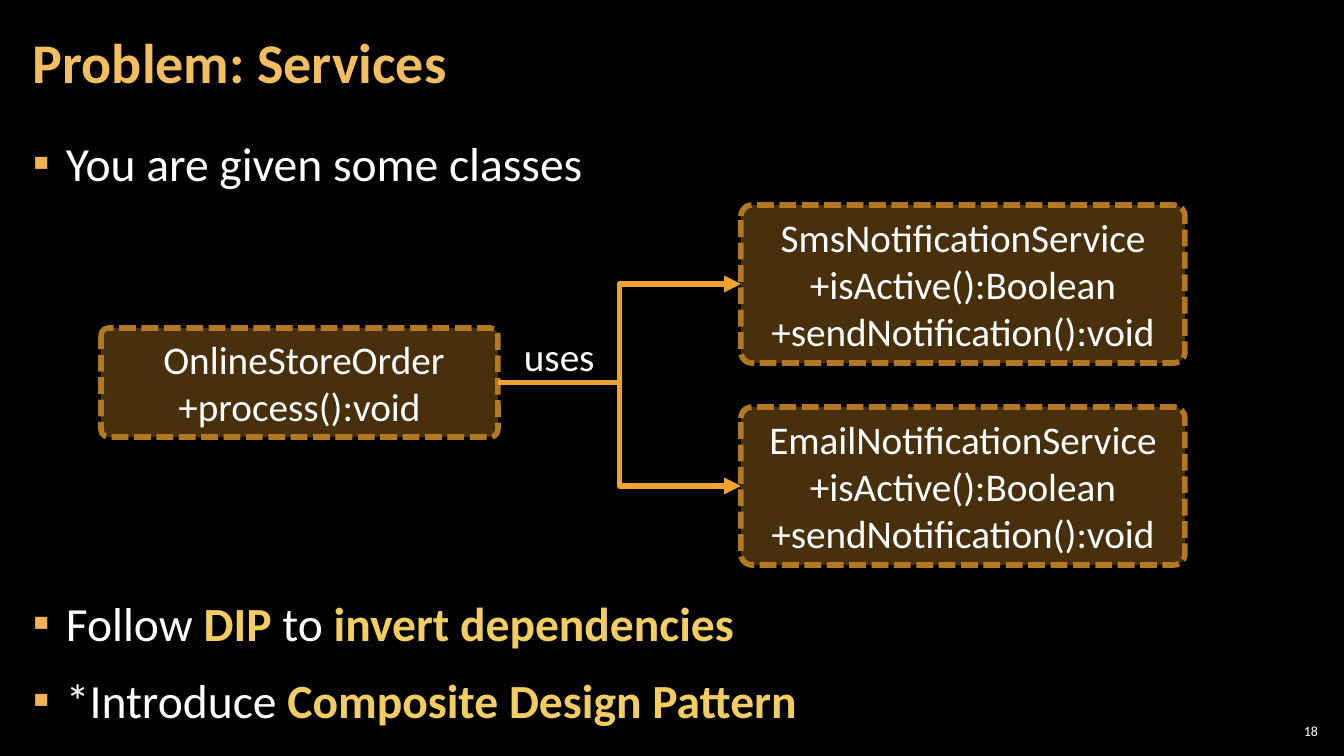
"""Build the "Problem: Services" slide: an order class that uses two notification services."""
from dataclasses import dataclass

from lxml import etree
from pptx import Presentation
from pptx import util as u
from pptx.dml.color import RGBColor
from pptx.enum import dml, shapes, text
from pptx.oxml.ns import qn

TITLE = "Problem: Services"
BULLETS = [
    (6, [("You are given some classes", False)]),
    (280, [("Follow ", False), ("DIP", True), (" to ", False), ("invert dependencies", True)]),
    (6, [("*Introduce ", False), ("Composite Design Pattern", True)]),
]
ORDER = [" OnlineStoreOrder", "+process():void"]
SERVICES = ["SmsNotificationService", "EmailNotificationService"]
SERVICE_METHODS = ["+isActive():Boolean", "+sendNotification():void"]
RELATION = "uses"
PAGE = "18"

SLIDE = (1344, 756)
TITLE_BOX = (21, 4, 1055, 122)
BODY_BOX = (21, 127, 1301, 614)
ORDER_BOX = (101, 328, 397, 109)
SERVICE_BOX = (741, 205, 444, 158)
SERVICE_PITCH = 202
RELATION_BOX = (514, 327, 92, 57)
PAGE_BOX = (1275, 720, 47, 21)
INDENT = 33


@dataclass(frozen=True)
class Theme:
    """Colours, font and type sizes."""
    font: str = "Calibri"
    back: str = "000000"
    white: str = "FFFFFF"
    title: str = "F3BE60"
    strong: str = "F3CD60"
    bullet: str = "F2B254"
    accent: str = "F0A22E"
    border: str = "B27822"
    title_size: int = 40
    body_size: int = 34
    class_size: int = 28
    page_size: int = 10
    line_width: int = 4


T = Theme()


def px(n):
    """Turn pixels into EMU."""
    return u.Emu(round(n * 12192000 / 1344))


def place(box):
    """Turn a pixel box into EMU."""
    return [px(n) for n in box]


def rgb(value):
    """Turn a hex string into a colour."""
    return RGBColor.from_string(value)


def style(r, size, color=T.white, bold=False):
    """Format one run."""
    r.font.name, r.font.size, r.font.bold = T.font, u.Pt(size), bold
    r.font.color.rgb = rgb(color)


def inset(tf, x, y):
    """Set the text frame's margins."""
    tf.margin_left = tf.margin_right = px(x)
    tf.margin_top = tf.margin_bottom = px(y)


def add_title(s):
    """Fill the title placeholder."""
    sp = s.shapes.title
    sp.left, sp.top, sp.width, sp.height = place(TITLE_BOX)
    tf = sp.text_frame
    tf.text = TITLE
    tf.vertical_anchor = text.MSO_ANCHOR.MIDDLE
    inset(tf, 12, 4)
    p = tf.paragraphs[0]
    p.alignment, p.line_spacing = text.PP_ALIGN.LEFT, 0.9
    style(p.runs[0], T.title_size, T.title, True)


def add_bullets(s):
    """Add the bulleted statements above and below the diagram."""
    tf = s.shapes.add_textbox(*place(BODY_BOX)).text_frame
    tf.word_wrap = True
    inset(tf, 12, 4)
    for i, (before, parts) in enumerate(BULLETS):
        p = tf.add_paragraph() if i else tf.paragraphs[0]
        p.line_spacing, p.space_before, p.space_after = 1.05, u.Pt(before), u.Pt(6)
        for words, strong in parts:
            r = p.add_run()
            r.text = words
            style(r, T.body_size, T.strong if strong else T.white, strong)
        pPr = p._p.get_or_add_pPr()
        pPr.set("marL", str(px(INDENT)))
        pPr.set("indent", str(px(-INDENT)))
        color = etree.SubElement(pPr, qn("a:buClr"))
        etree.SubElement(color, qn("a:srgbClr"), val=T.bullet)
        etree.SubElement(pPr, qn("a:buFont"), typeface=T.font)
        etree.SubElement(pPr, qn("a:buChar"), char="▪")


def add_class(s, box, lines):
    """Add one class box with its name and methods."""
    sp = s.shapes.add_shape(shapes.MSO_SHAPE.ROUNDED_RECTANGLE, *place(box))
    sp.adjustments[0] = 0.07
    sp.shadow.inherit = False
    sp.fill.solid()
    sp.fill.fore_color.rgb = rgb(T.accent)
    color = sp.fill._xPr.find(qn("a:solidFill"))[0]
    etree.SubElement(color, qn("a:alpha"), val="30000")
    sp.line.color.rgb = rgb(T.border)
    sp.line.width = u.Pt(T.line_width)
    sp.line.dash_style = dml.MSO_LINE.SQUARE_DOT
    tf = sp.text_frame
    tf.text = "\n".join(lines)
    tf.vertical_anchor = text.MSO_ANCHOR.MIDDLE
    for p in tf.paragraphs:
        p.alignment = text.PP_ALIGN.CENTER
        style(p.runs[0], T.class_size)
    return sp


def add_arrow(s, source, target):
    """Join two class boxes with a bent arrow."""
    c = s.shapes.add_connector(
        shapes.MSO_CONNECTOR.ELBOW,
        source.left + source.width, source.top + source.height // 2,
        target.left, target.top + target.height // 2)
    c.begin_connect(source, 3)
    c.end_connect(target, 1)
    c.line.color.rgb = rgb(T.accent)
    c.line.width = u.Pt(T.line_width)
    etree.SubElement(c.line._get_or_add_ln(), qn("a:tailEnd"), type="triangle")
    etree.SubElement(c._element.spPr, qn("a:effectLst"))


def add_label(s, box, words, size):
    """Add a short one-line label."""
    tf = s.shapes.add_textbox(*place(box)).text_frame
    tf.word_wrap = False
    tf.text = words
    style(tf.paragraphs[0].runs[0], size)
    return tf


def main():
    """Build and save the slide."""
    prs = Presentation()
    prs.slide_width, prs.slide_height = place(SLIDE)
    s = prs.slides.add_slide(prs.slide_layouts[5])
    s.background.fill.solid()
    s.background.fill.fore_color.rgb = rgb(T.back)

    add_title(s)
    add_bullets(s)
    order = add_class(s, ORDER_BOX, ORDER)
    left, top, width, height = SERVICE_BOX
    for i, name in enumerate(SERVICES):
        box = (left, top + i * SERVICE_PITCH, width, height)
        add_arrow(s, order, add_class(s, box, [name, *SERVICE_METHODS]))
    add_label(s, RELATION_BOX, RELATION, T.class_size)

    tf = add_label(s, PAGE_BOX, PAGE, T.page_size)
    tf.word_wrap = True
    tf.vertical_anchor = text.MSO_ANCHOR.MIDDLE
    tf.paragraphs[0].alignment = text.PP_ALIGN.RIGHT
    inset(tf, 4, 4)
    prs.save("out.pptx")


if __name__ == "__main__":
    main()
